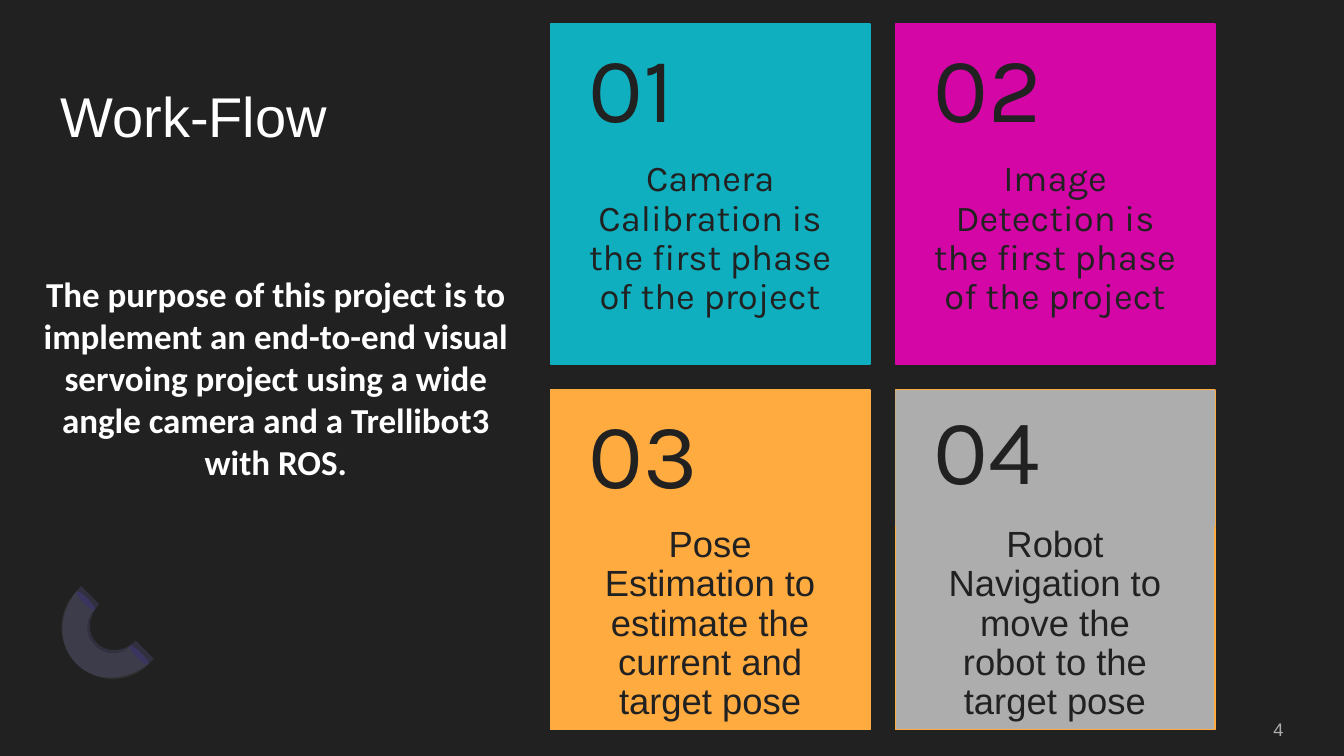
from lxml import etree
from pptx import Presentation
from pptx.dml.color import RGBColor
from pptx.enum.shapes import MSO_SHAPE
from pptx.enum.text import MSO_ANCHOR, PP_ALIGN
from pptx.oxml.ns import qn
from pptx.util import Inches, Pt

RECTANGLE, OVAL = MSO_SHAPE.RECTANGLE, MSO_SHAPE.OVAL
TOP, MIDDLE = MSO_ANCHOR.TOP, MSO_ANCHOR.MIDDLE
LEFT, CENTER, RIGHT = PP_ALIGN.LEFT, PP_ALIGN.CENTER, PP_ALIGN.RIGHT

DARK, WHITE, GRAY, ORANGE = "212121", "FFFFFF", "ADADAD", "FFAB40"
CARD_WIDTH, CARD_HEIGHT, HEAD_HEIGHT = 3.17, 3.37, 1.35
CARD_LEFT, CARD_TOP = 5.46, 0.24
STEP_X, STEP_Y = 3.42, 3.63

CARDS = [
    ("01", "Camera Calibration is the first phase of the project", "Karla", "0FAFBF", "0FAFBF"),
    ("02", "Image Detection is the first phase of the project", "Karla", "D407A6", "D407A6"),
    ("03", "Pose Estimation to estimate the current and target pose", "Arial", ORANGE, ORANGE),
    ("04", "Robot Navigation to move the robot to the target pose", "Arial", GRAY, ORANGE),
]
PURPOSE = ("The purpose of this project is to implement an end-to-end visual servoing "
           "project using a wide angle camera and a Trellibot3 with ROS.")

HALF_RING = [
    [(0.5, 0), (0.78, 0), (1, 0.45), (1, 1)],
    [(0.75, 1), (0.75, 0.72), (0.64, 0.5), (0.5, 0.5)],
    [(0.36, 0.5), (0.25, 0.72), (0.25, 1)],
    [(0, 1), (0, 0.45), (0.22, 0), (0.5, 0)],
]


def color(value):
    return RGBColor.from_string(value)


def paint(shape, fill, line=None):
    shape.shadow.inherit = False
    shape.fill.solid()
    shape.fill.fore_color.rgb = color(fill)
    if line:
        shape.line.color.rgb = color(line)
        shape.line.width = Pt(1)
    else:
        shape.line.fill.background()


def add_block(page, kind, box, fill, line=None):
    shape = page.shapes.add_shape(kind, *map(Inches, box))
    paint(shape, fill, line)
    return shape


def add_text(page, box, text, size, font, ink, align=LEFT, anchor=TOP,
             insets=(0, 0, 0, 0), spacing=1.0, bold=False):
    frame = page.shapes.add_textbox(*map(Inches, box)).text_frame
    left, top, right, bottom = map(Inches, insets)
    frame_format = {"word_wrap": True, "vertical_anchor": anchor, "margin_left": left,
                    "margin_top": top, "margin_right": right, "margin_bottom": bottom}
    for name, value in frame_format.items():
        setattr(frame, name, value)
    para = frame.paragraphs[0]
    para.alignment = align
    para.line_spacing = spacing
    span = para.add_run()
    span.text = text
    for name, value in {"size": Pt(size), "name": font, "bold": bold}.items():
        setattr(span.font, name, value)
    span.font.color.rgb = color(ink)


def bend_segments(shape, curves):
    segments = list(shape._element.iter(qn("a:lnTo")))
    position = 0
    for index, curve in enumerate(curves):
        first = position if index in (0, 2) else position + 1
        bend = etree.Element(qn("a:cubicBezTo"))
        segments[first].addprevious(bend)
        for segment in segments[first:first + 3]:
            bend.append(segment[0])
            segment.getparent().remove(segment)
        position = first + 3


def add_half_ring(page, box, fill):
    left, top, width, height = box
    points = [(Inches(left + x * width), Inches(top + y * height))
              for curve in HALF_RING for x, y in curve]
    builder = page.shapes.build_freeform(*points[0])
    builder.add_line_segments(points[1:], close=True)
    ring = builder.convert_to_shape()
    bend_segments(ring, HALF_RING)
    ring.rotation = 225
    paint(ring, fill)
    return ring


def add_ornament(page):
    add_half_ring(page, (0.43, 6.15, 1.02, 0.51), "303030")
    for left, top in ((1.35, 6.37), (0.82, 5.83)):
        add_block(page, OVAL, (left, top, 0.06, 0.26), "2B274A").rotation = 315
    glow = add_half_ring(page, (0.45, 6.09, 1.02, 0.58), "746EB3")
    tint = next(glow._element.iter(qn("a:srgbClr")))
    etree.SubElement(tint, qn("a:alpha")).set("val", "20000")


def add_card(page, left, top, number, text, font, fill, line):
    add_block(page, RECTANGLE, (left, top, CARD_WIDTH, CARD_HEIGHT), fill, line)
    add_text(page, (left, top + HEAD_HEIGHT, CARD_WIDTH, CARD_HEIGHT - HEAD_HEIGHT), text,
             26, font, DARK, align=CENTER, insets=(0.38, 0, 0.38, 0.36), spacing=0.9)
    head_top = top
    if fill != line:
        add_block(page, RECTANGLE, (left, top, CARD_WIDTH, HEAD_HEIGHT), fill)
        head_top -= 0.04
    add_text(page, (left, head_top, CARD_WIDTH, HEAD_HEIGHT), number, 66, "Karla", DARK,
             anchor=MIDDLE, insets=(0.38, 0.18, 0.38, 0.18), spacing=0.9)


def add_cards(page):
    for index, card in enumerate(CARDS):
        row, column = divmod(index, 2)
        add_card(page, CARD_LEFT + column * STEP_X, CARD_TOP + row * STEP_Y, *card)


def add_intro(page):
    add_text(page, (0.6, 0.6, 3.65, 1.08), "Work-Flow", 40, "Arial", WHITE, anchor=MIDDLE)
    add_text(page, (0.33, 2.65, 4.81, 2.21), PURPOSE, 25, "Calibri", WHITE, align=CENTER,
             insets=(0.1, 0.05, 0.1, 0.05), bold=True)


def main():
    deck = Presentation()
    deck.slide_width, deck.slide_height = Inches(13.33), Inches(7.5)
    page = deck.slides.add_slide(deck.slide_layouts[6])
    page.background.fill.solid()
    page.background.fill.fore_color.rgb = color(DARK)
    add_ornament(page)
    add_intro(page)
    add_cards(page)
    add_text(page, (10.88, 7.12, 1.85, 0.22), "4", 13, "Arial", GRAY, align=RIGHT, anchor=MIDDLE)
    deck.save("out.pptx")


if __name__ == "__main__":
    main()
